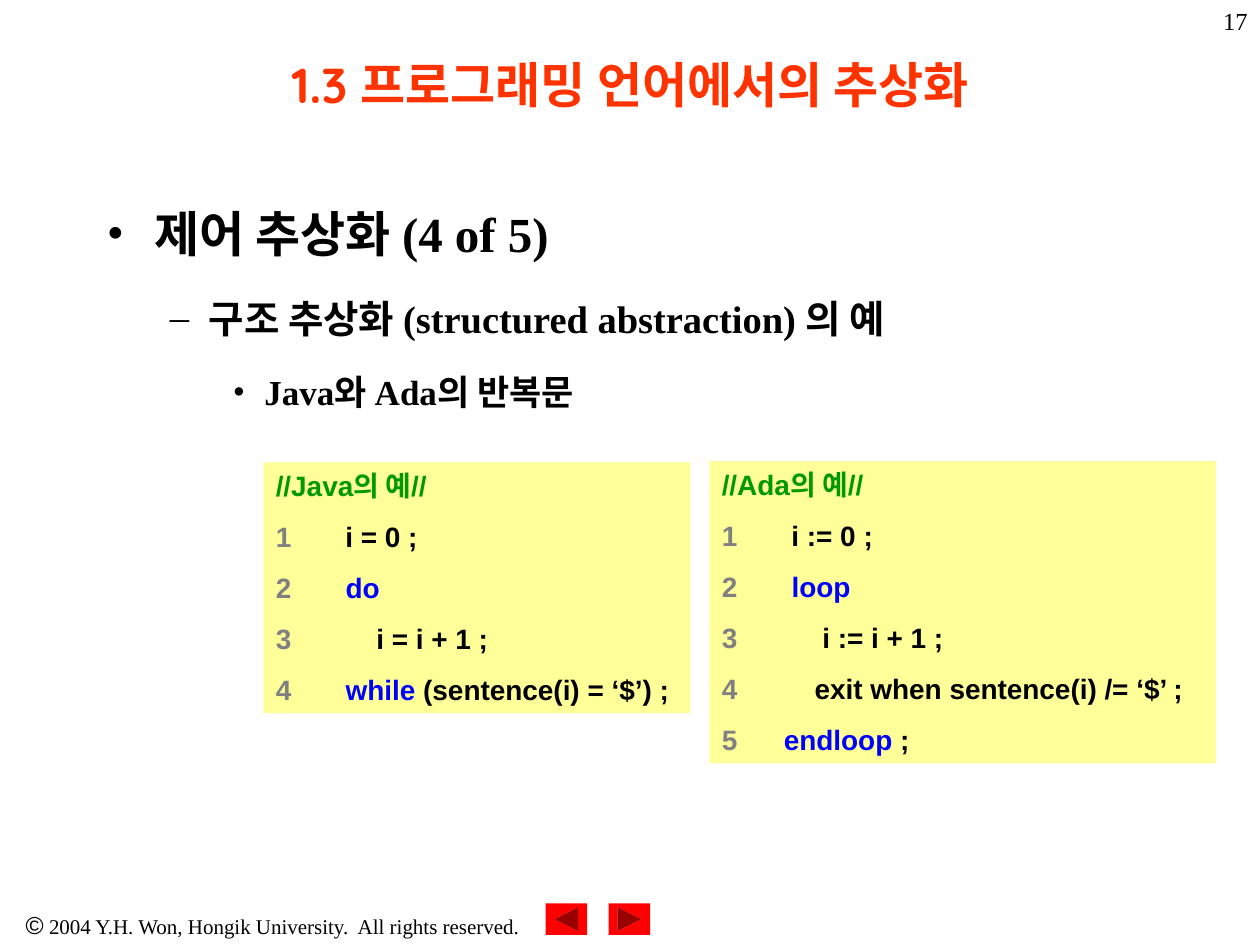
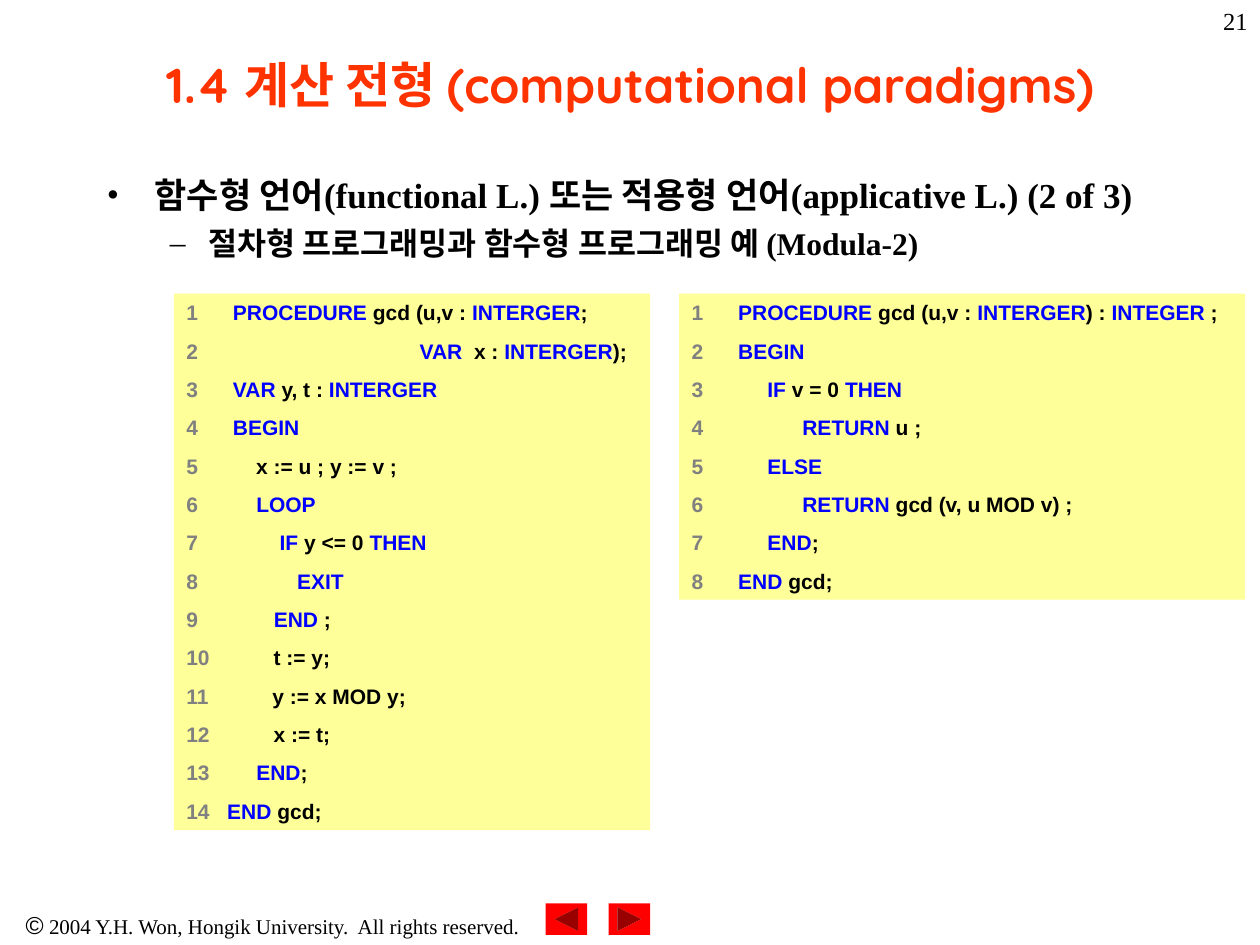
from itertools import groupby

from lxml import etree
from pptx import Presentation
from pptx.dml.color import RGBColor
from pptx.enum.shapes import MSO_SHAPE as SHAPE
from pptx.enum.text import MSO_ANCHOR as ANCHOR, PP_ALIGN as ALIGN
from pptx.oxml.ns import qn
from pptx.util import Inches, Pt

COLORS = {
    "title": "FF3300",
    "text": "000000",
    "button": "FF0000",
    "code_box": "FFFF99",
    "comment": "009900",
    "number": "808080",
    "keyword": "0000FF",
}
TITLE_FONT, BODY_FONT, CODE_FONT = "Quicksand", "Times New Roman", "Arial"
KEYWORDS = set(
    "do while loop endloop PROCEDURE INTERGER INTEGER VAR BEGIN LOOP IF THEN "
    "ELSE EXIT RETURN END".split()
)
BULLETS = [("•", 0.38, 0.38), ("–", 0.81, 0.31), ("•", 1.25, 0.25)]

JAVA_CODE = """//Java의 예//
1       i = 0 ;
2       do
3           i = i + 1 ;
4       while (sentence(i) = ‘$’) ;"""

ADA_CODE = """//Ada의 예//
1       i := 0 ;
2       loop
3           i := i + 1 ;
4          exit when sentence(i) /= ‘$’ ;
5      endloop ;"""

PROCEDURAL_CODE = """1      PROCEDURE gcd (u,v : INTERGER;
2                                      VAR  x : INTERGER);
3      VAR y, t : INTERGER
4      BEGIN
5          x := u ; y := v ;
6          LOOP
7              IF y <= 0 THEN
8                 EXIT
9             END ;
10           t := y;
11           y := x MOD y;
12           x := t;
13        END;
14   END gcd;"""

FUNCTIONAL_CODE = """1      PROCEDURE gcd (u,v : INTERGER) : INTEGER ;
2      BEGIN
3           IF v = 0 THEN
4                 RETURN u ;
5           ELSE
6                 RETURN gcd (v, u MOD v) ;
7           END;
8      END gcd;"""


def rgb(name):
    """Return the named colour."""
    return RGBColor.from_string(COLORS[name])


def add_run(p, text, size, font, color="text", bold=False):
    """Append a formatted run to a paragraph."""
    r = p.add_run()
    r.text = text
    r.font.size, r.font.name, r.font.bold = Pt(size), font, bold
    r.font.color.rgb = rgb(color)


def add_text(s, box, anchor=ANCHOR.TOP, align=ALIGN.LEFT):
    """Add a wrapping text box and return its text frame."""
    tf = s.shapes.add_textbox(*map(Inches, box)).text_frame
    tf.word_wrap = True
    tf.vertical_anchor = anchor
    tf.paragraphs[0].alignment = align
    return tf


def next_paragraph(tf, index, space):
    """Return paragraph number index, spaced from the one above."""
    if index == 0:
        return tf.paragraphs[0]
    p = tf.add_paragraph()
    p.space_before = Pt(space)
    return p


def add_shape(s, kind, box, color):
    """Add a flat preset shape without outline."""
    sp = s.shapes.add_shape(kind, *map(Inches, box))
    sp.shadow.inherit = False
    sp.fill.solid()
    sp.fill.fore_color.rgb = rgb(color)
    sp.line.fill.background()
    return sp


def add_footer(s, box):
    """Add the copyright line and the two navigation buttons to its right."""
    left, top, width, height = box
    p = add_text(s, box, align=ALIGN.CENTER).paragraphs[0]
    add_run(p, "©", 14, CODE_FONT)
    add_run(p, " 2004 Y.H. Won, Hongik University.  All rights reserved.", 12, BODY_FONT)
    for i, rotation in enumerate((180, 0)):
        button = (left + width + 0.5 * i, top, 0.33, 0.25)
        add_shape(s, SHAPE.ACTION_BUTTON_FORWARD_OR_NEXT, button, "button").rotation = rotation


def add_bullets(s, box, items, line_spacing):
    """Add an outline of (text, size, space before), one level deeper per item."""
    tf = add_text(s, box)
    for i, (text, size, space) in enumerate(items):
        p = next_paragraph(tf, i, space)
        char, margin, hang = BULLETS[i]
        pPr = p._p.get_or_add_pPr()
        pPr.set("marL", str(Inches(margin)))
        pPr.set("indent", str(-Inches(hang)))
        color = etree.SubElement(pPr, qn("a:buClr"))
        etree.SubElement(color, qn("a:srgbClr"), val=COLORS["text"])
        etree.SubElement(pPr, qn("a:buFont"), typeface=BODY_FONT)
        etree.SubElement(pPr, qn("a:buChar"), char=char)
        p.line_spacing = line_spacing
        add_run(p, text, size, BODY_FONT, bold=True)


def color_code(line):
    """Split a code line into (text, colour) parts."""
    if line.startswith("//"):
        return [(line, "comment")]
    number = line.split()[0]
    words = ["".join(g) for _, g in groupby(line[len(number):], str.isalpha)]
    kinds = groupby(words, lambda w: "keyword" if w in KEYWORDS else "text")
    return [(number, "number")] + [("".join(g), kind) for kind, g in kinds]


def add_code(s, box, code, size, space):
    """Add a yellow code box with highlighted keywords."""
    tf = add_shape(s, SHAPE.RECTANGLE, box, "code_box").text_frame
    tf.word_wrap = True
    tf.vertical_anchor = ANCHOR.TOP
    for i, line in enumerate(code.splitlines()):
        p = next_paragraph(tf, i, space)
        p.alignment = ALIGN.LEFT
        for text, color in color_code(line):
            add_run(p, text, size, CODE_FONT, color, bold=True)


def add_slide(prs, number, title):
    """Add a slide with footer, page number and title."""
    s = prs.slides.add_slide(prs.slide_layouts[6])
    add_footer(s, (0, 7.17, 4.33, 0.34))
    page = add_text(s, (7.92, 0, 2.08, 0.5), align=ALIGN.RIGHT)
    add_run(page.paragraphs[0], str(number), 14, BODY_FONT)
    heading = add_text(s, (0.75, 0.08, 8.5, 1.17), ANCHOR.MIDDLE, ALIGN.CENTER)
    add_run(heading.paragraphs[0], title, 28, TITLE_FONT, "title", bold=True)
    return s


def add_abstraction_slide(prs):
    """Add the slide on loops in Java and Ada."""
    s = add_slide(prs, 17, "1.3 프로그래밍 언어에서의 추상화")
    add_bullets(s, (0.75, 1.33, 8.5, 5.75), [
        ("제어 추상화 (4 of 5)", 28, 0),
        ("구조 추상화 (structured abstraction) 의 예", 22, 5.5),
        ("Java와 Ada의 반복문", 20, 5),
    ], 1.5)
    add_code(s, (2.09, 3.67, 3.39, 1.99), JAVA_CODE, 16, 10)
    add_code(s, (5.63, 3.66, 4.02, 2.4), ADA_CODE, 16, 10)


def add_paradigm_slide(prs):
    """Add the slide comparing procedural and functional code."""
    s = add_slide(prs, 21, "1.4 계산 전형 (computational paradigms)")
    add_bullets(s, (0.75, 1.33, 8.9, 5.75), [
        ("함수형 언어(functional L.) 또는 적용형 언어(applicative L.) (2 of 3)", 20, 0),
        ("절차형 프로그래밍과 함수형 프로그래밍 예 (Modula-2)", 18, 4.5),
    ], 1.0)
    add_code(s, (1.38, 2.33, 3.78, 4.26), PROCEDURAL_CODE, 12, 7.5)
    add_code(s, (5.39, 2.33, 4.49, 2.43), FUNCTIONAL_CODE, 12, 7.5)


def main():
    """Build and save the presentation."""
    prs = Presentation()
    prs.slide_width, prs.slide_height = Inches(10), Inches(7.5)
    add_abstraction_slide(prs)
    add_paradigm_slide(prs)
    prs.save("out.pptx")


if __name__ == "__main__":
    main()
